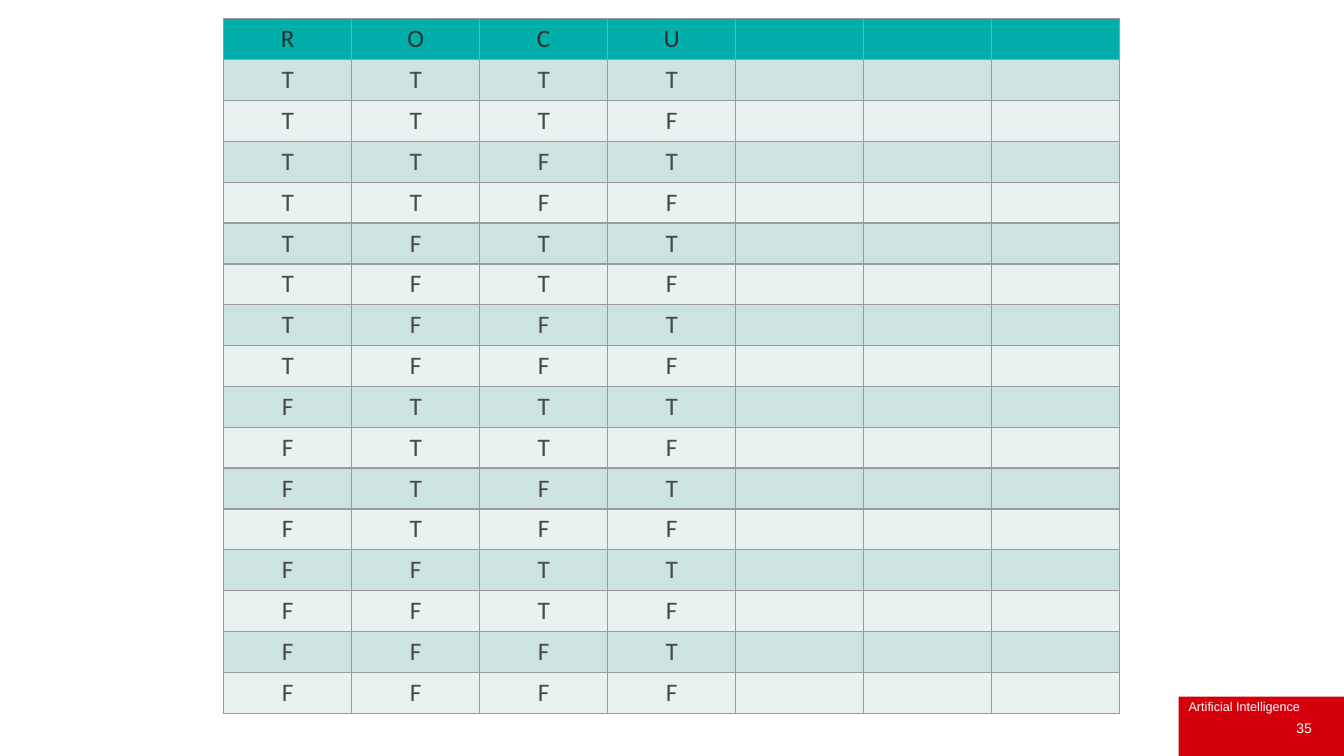
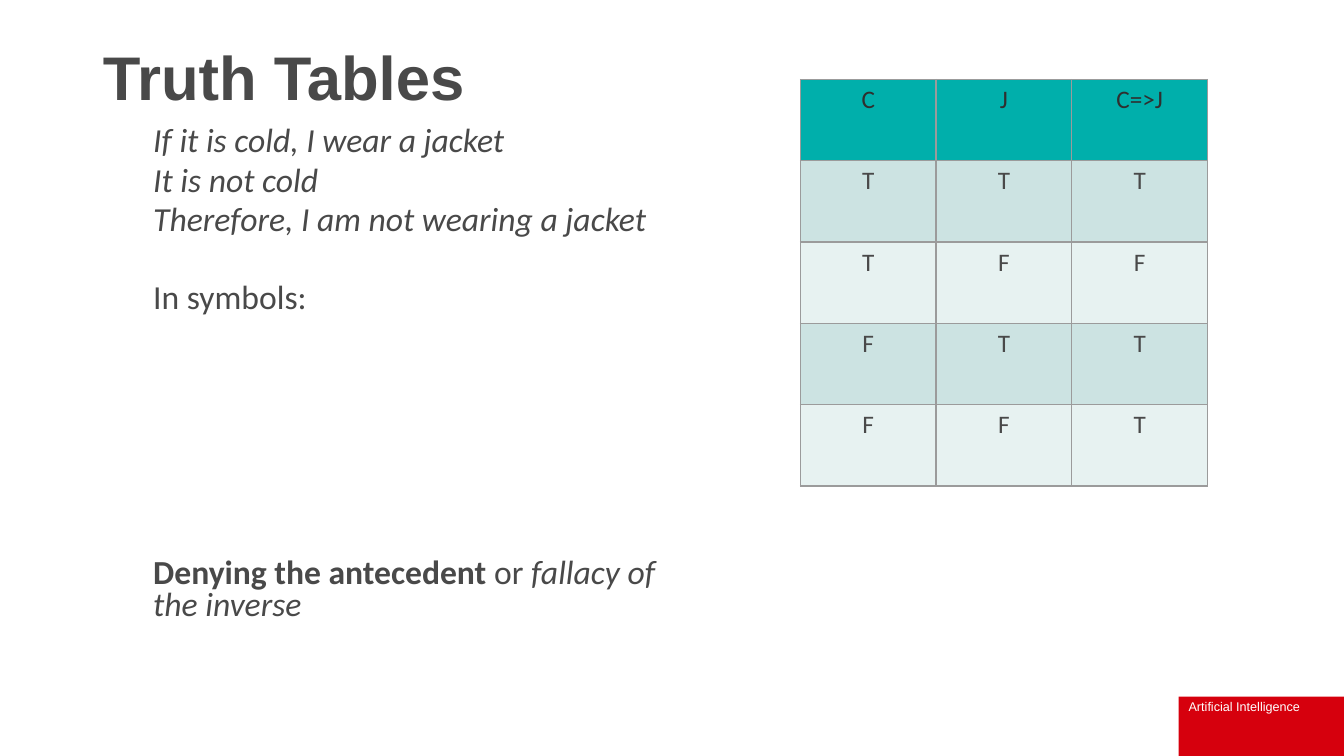
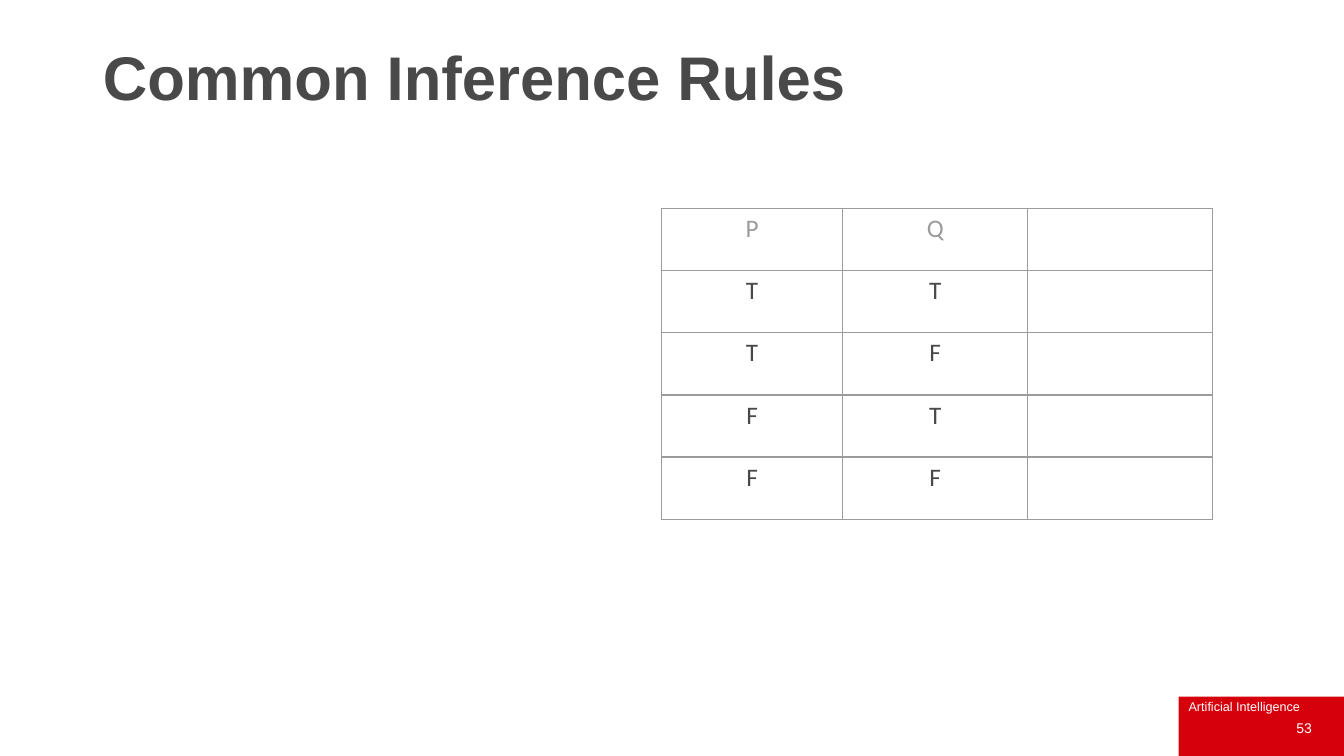
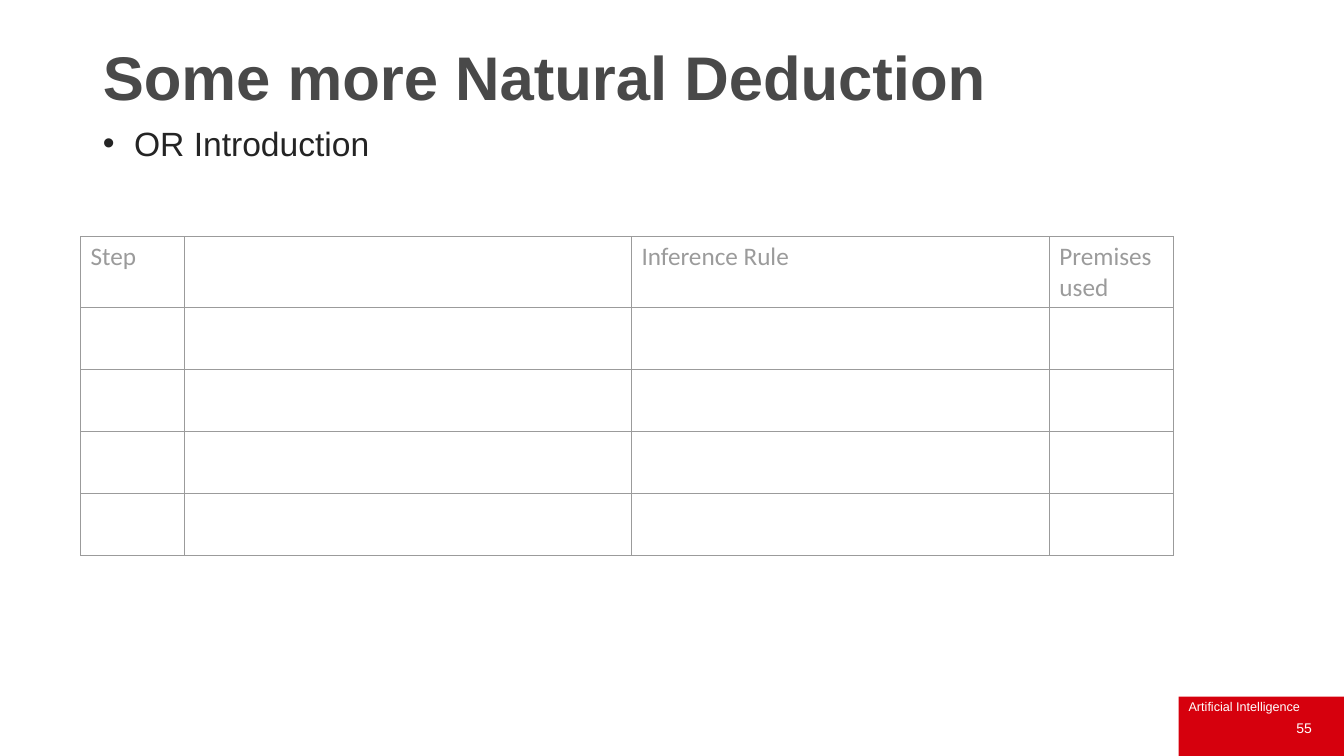
from itertools import product

from lxml import etree
from pptx import Presentation
from pptx import util as u
from pptx.dml.color import RGBColor
from pptx.enum import shapes, text
from pptx.oxml.ns import qn

# Shared look
WIDTH, HEIGHT = u.Inches(13.33), u.Inches(7.5)
RED, WHITE = "D6000D", "FFFFFF"
GREY, DARK, INK, LINE = "494949", "2F2F2F", "242424", "9B9B9B"
TEAL, BANDS = "00AFAB", ("CCE3E2", "E7F2F1")
HEAD_FONT, TABLE_FONT = "Arial", "Calibri"
LEFT = 6.9
BLANK, TITLE_ONLY, TITLE_AND_BODY = 6, 5, 1


def color(value):
    return RGBColor.from_string(value)


def box(left, top, width, height):
    """Turn percentages of the slide into lengths."""
    return [u.Emu(int(share * size / 100)) for share, size in
            zip((left, top, width, height), (WIDTH, HEIGHT) * 2)]


def write(paragraph, words, font=HEAD_FONT, size=24, ink=GREY,
          bold=False, italic=False, align=None):
    run = paragraph.add_run()
    run.text = words
    run.font.name, run.font.size = font, u.Pt(size)
    run.font.bold, run.font.italic = bold, italic
    run.font.color.rgb = color(ink)
    if align is not None:
        paragraph.alignment = align


def add_label(slide, words, area, anchor=text.MSO_ANCHOR.TOP, **style):
    label = slide.shapes.add_textbox(*box(*area))
    label.text_frame.word_wrap = True
    label.text_frame.vertical_anchor = anchor
    write(label.text_frame.paragraphs[0], words, ink=WHITE, **style)
    return label


def add_page_number(slide, number):
    add_label(slide, str(number), (75.85, 93.6, 22.5, 5.33),
              anchor=text.MSO_ANCHOR.MIDDLE, size=10, align=text.PP_ALIGN.RIGHT)


def add_band_to_master(presentation, slide):
    """Build the corner band, then move it to the master for every slide."""
    band = slide.shapes.add_shape(shapes.MSO_SHAPE.RECTANGLE,
                                  *box(87.7, 92.13, 12.3, 7.87))
    band.shadow.inherit = False
    band.fill.solid()
    band.fill.fore_color.rgb = color(RED)
    band.line.fill.background()
    label = add_label(slide, "Artificial Intelligence",
                      (87.7, 91.73, 11.5, 3.33), size=9)
    master = presentation.slide_master.shapes.element
    for number, shape in enumerate((band, label), 100):
        shape.element.xpath(".//p:cNvPr")[0].set("id", str(number))
        master.append(shape.element)


def place(placeholder, area):
    placeholder.left, placeholder.top, placeholder.width, placeholder.height = box(*area)
    frame = placeholder.text_frame
    frame.auto_size = text.MSO_AUTO_SIZE.NONE
    frame.vertical_anchor = text.MSO_ANCHOR.TOP
    return frame


def add_slide(presentation, layout, title=None, width=73.4):
    slide = presentation.slides.add_slide(presentation.slide_layouts[layout])
    if title:
        paragraph = place(slide.shapes.title, (LEFT, 5.6, width, 9.2)).paragraphs[0]
        paragraph.line_spacing = 0.9
        write(paragraph, title, size=44, bold=True, align=text.PP_ALIGN.LEFT)
    return slide


def add_body(slide, width, lines, level=0, margin=0.0, indent=0.0, bullet=None,
             spacing=0.9):
    """Fill the body; each line is (space before, [(words, style), ...])."""
    frame = place(slide.placeholders[1], (LEFT, 16.13, width, 71.47))
    for number, (before, runs) in enumerate(lines):
        paragraph = frame.add_paragraph() if number else frame.paragraphs[0]
        properties = paragraph._p.get_or_add_pPr()
        properties.set("marL", str(u.Inches(margin)))
        properties.set("indent", str(u.Inches(indent)))
        mark = etree.SubElement(properties, qn("a:buChar" if bullet else "a:buNone"))
        if bullet:
            mark.set("char", bullet)
        paragraph.level = level
        paragraph.line_spacing = spacing
        paragraph.space_before = u.Pt(before)
        for words, style in runs:
            write(paragraph, words, **style)


def set_borders(cell):
    properties = cell._tc.get_or_add_tcPr()
    for number, side in enumerate(("lnL", "lnR", "lnT", "lnB")):
        line = etree.Element(qn("a:" + side), w=str(u.Pt(1)))
        fill = etree.SubElement(line, qn("a:solidFill"))
        etree.SubElement(fill, qn("a:srgbClr"), val=LINE)
        properties.insert(number, line)


def add_grid(slide, area, rows, weights=None, filled=True,
             align=text.PP_ALIGN.CENTER):
    """Add a table whose first row is the header."""
    left, top, width, height = box(*area)
    weights = weights or [1] * len(rows[0])
    table = slide.shapes.add_table(len(rows), len(weights),
                                   left, top, width, height).table
    table.first_row = table.horz_banding = False
    for column, weight in zip(table.columns, weights):
        column.width = int(width * weight / sum(weights))
    for r, row in enumerate(rows):
        table.rows[r].height = int(height / len(rows))
        for c, words in enumerate(row):
            cell = table.cell(r, c)
            if filled:
                cell.fill.solid()
                cell.fill.fore_color.rgb = color(BANDS[(r - 1) % 2] if r else TEAL)
            else:
                cell.fill.background()
            set_borders(cell)
            header_ink = DARK if filled else LINE
            if words:
                write(cell.text_frame.paragraphs[0], words, font=TABLE_FONT,
                      size=18, ink=GREY if r else header_ink, align=align)


def truth_rows(names, blanks=0):
    """Header and every combination of T and F, with empty columns after."""
    empty = [""] * blanks
    return [[*row, *empty] for row in [names, *product("TF", repeat=len(names))]]


def main():
    presentation = Presentation()
    presentation.slide_width, presentation.slide_height = WIDTH, HEIGHT

    # Truth table of four variables
    slide = add_slide(presentation, BLANK)
    add_band_to_master(presentation, slide)
    add_page_number(slide, 35)
    add_grid(slide, (16.65, 2.5, 66.67, 91.9), truth_rows("ROCU", blanks=3))

    # Denying the antecedent
    slide = add_slide(presentation, TITLE_AND_BODY, "Truth Tables", width=40.8)
    plain = {"font": TABLE_FONT}
    italic, bold = {**plain, "italic": True}, {**plain, "bold": True}
    add_body(slide, 43.14, [
        (0, [("If it is cold, I wear a jacket", italic)]),
        (5, [("It is not cold", italic)]),
        (5, [("Therefore, I am not wearing a jacket", italic)]),
        (33, [("In symbols:", plain)]),
        (173, [("Denying the antecedent", bold), (" or ", plain),
               ("fallacy of the inverse", italic)]),
    ], level=1, margin=0.5, spacing=0.8)
    implication = [[*row, result] for row, result in
                   zip(truth_rows("CJ"), ("C=>J", "T", "F", "T", "T"))]
    add_grid(slide, (59.55, 10.5, 30.3, 53.8), implication)

    # Inference rules
    slide = add_slide(presentation, TITLE_ONLY, "Common Inference Rules", width=64.2)
    add_page_number(slide, 53)
    add_grid(slide, (49.2, 27.6, 41, 41.1), truth_rows("PQ", blanks=1),
             weights=(1.8, 1.83, 1.83), filled=False)

    # Natural deduction
    slide = add_slide(presentation, TITLE_AND_BODY, "Some more Natural Deduction")
    add_body(slide, 86.27, [(0, [("OR Introduction", {"ink": INK})])],
             margin=0.31, indent=-0.31, bullet="•")
    add_page_number(slide, 55)
    steps = [["Step", "", "Inference Rule", "Premises used"]] + [[""] * 4] * 4
    add_grid(slide, (6, 31.3, 81.3, 41.1), steps, weights=(1.03, 4.44, 4.15, 1.23),
             filled=False, align=text.PP_ALIGN.LEFT)

    presentation.save("out.pptx")


if __name__ == "__main__":
    main()
